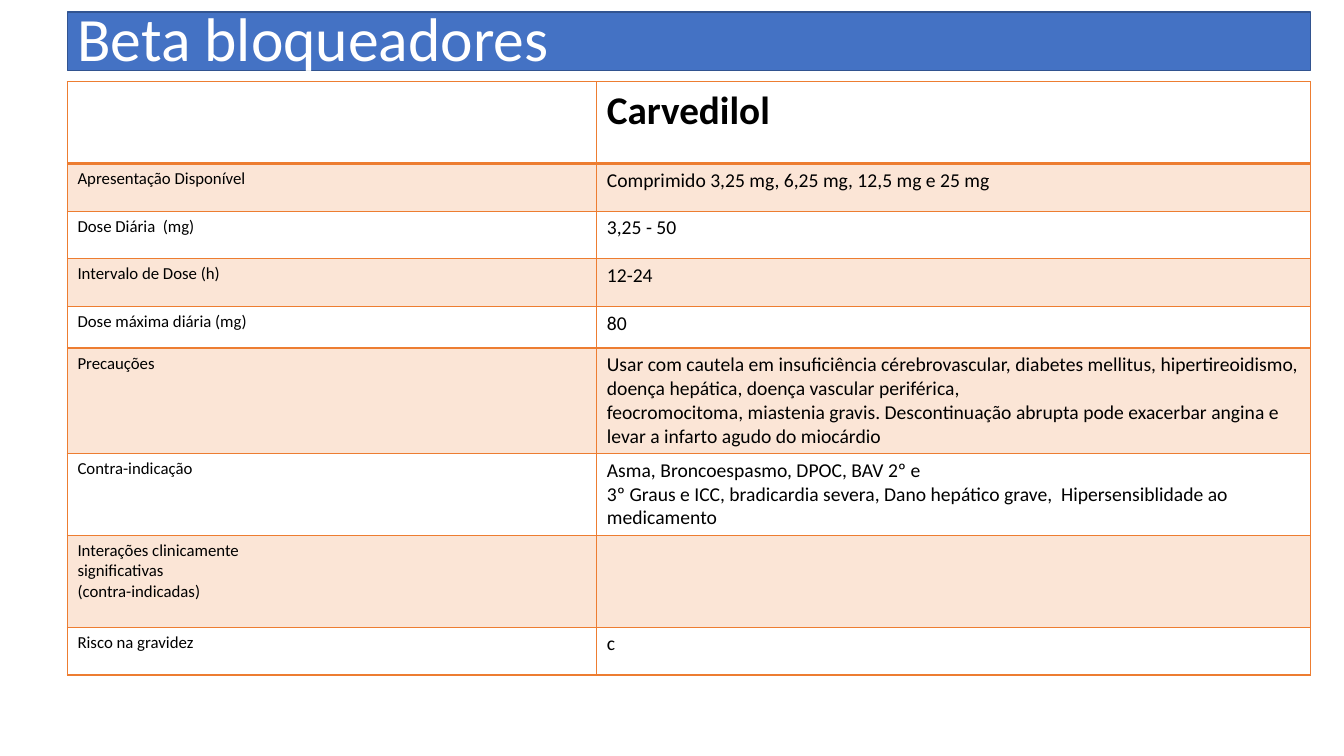
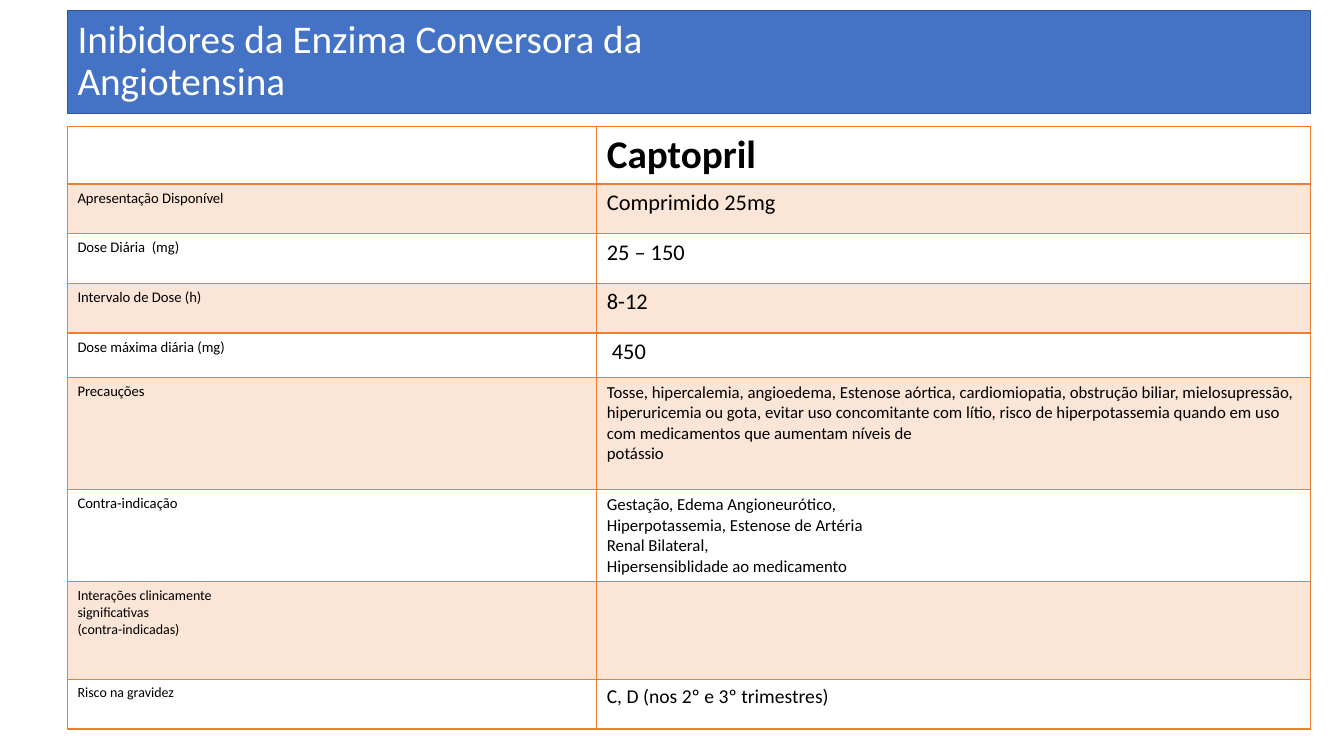
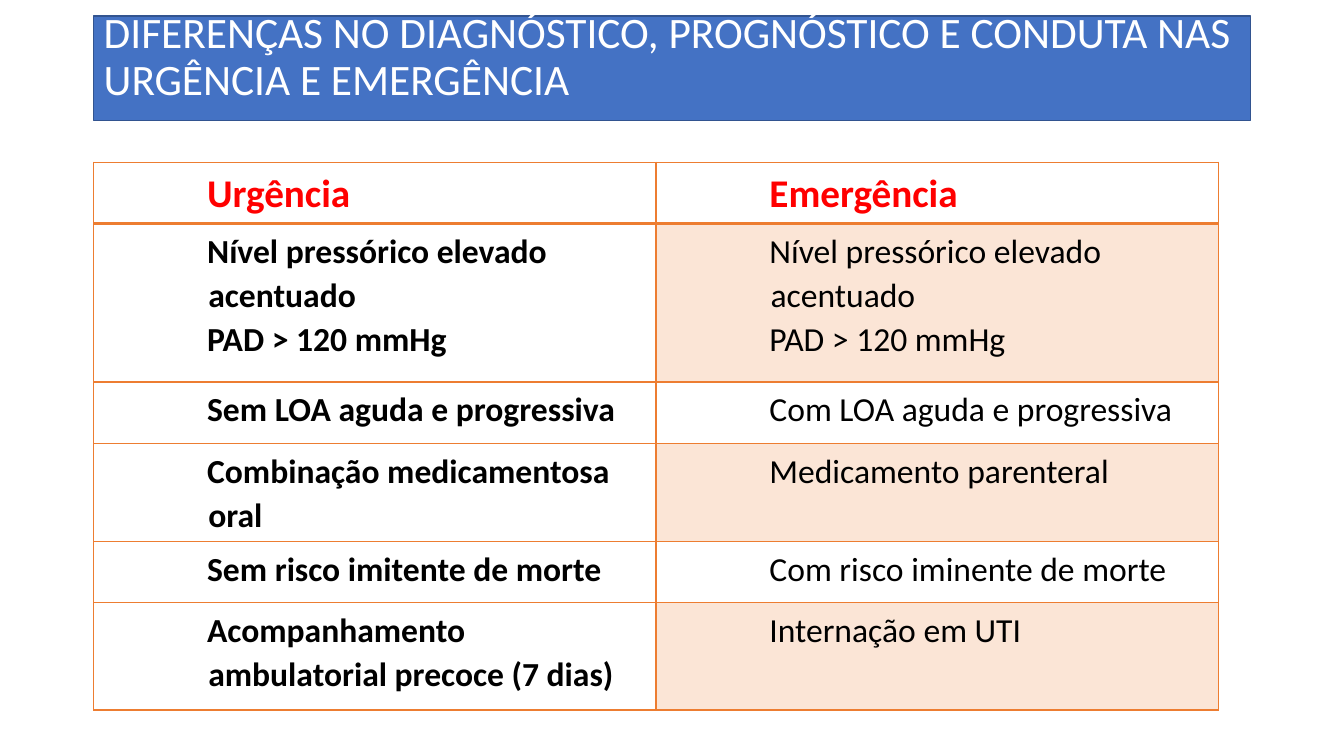
from dataclasses import dataclass

import pptx
import pptx.dml.color
import pptx.enum.text
import pptx.oxml
import pptx.oxml.ns
import pptx.presentation
import pptx.slide
import pptx.table
import pptx.text.text
import pptx.util
from pptx.util import Cm


# Shared look
@dataclass(frozen=True)
class Theme:
    font: str = "Calibri"
    band: str = "4472C4"
    band_line: str = "325490"
    white: str = "FFFFFF"
    black: str = "000000"
    red: str = "FF0000"
    border: str = "ED7D31"
    stripe: str = "FBE5D6"
    thin: float = 0.96
    thick: float = 1.98
    heading: float = 28
    comparison: float = 24


THEME = Theme()


@dataclass(frozen=True)
class TitleBand:
    text: str
    size: float
    left: float
    top: float
    width: float
    height: float
    inset_bottom: float = 0.13


@dataclass(frozen=True)
class CellText:
    text: str
    size: float
    bold: bool = False
    color: str = THEME.black


@dataclass(frozen=True)
class Row:
    height: float
    cells: tuple[CellText, CellText]


@dataclass(frozen=True)
class Grid:
    left: float
    top: float
    columns: tuple[float, float]
    rows: list[Row]
    striped_columns: tuple[int, ...] = (0, 1)
    indented: bool = False


@dataclass(frozen=True)
class Entry:
    height: float
    value: str
    value_size: float
    label_size: float


# Row labels shared by the medicine slides
LABELS = (
    "Apresentação Disponível",
    "Dose Diária  (mg)",
    "Intervalo de Dose (h)",
    "Dose máxima diária (mg)",
    "Precauções",
    "Contra-indicação",
    "Interações clinicamente\nsignificativas\n(contra-indicadas)",
    "Risco na gravidez",
)

CARVEDILOL = [
    Entry(1.2, "Comprimido 3,25 mg, 6,25 mg, 12,5 mg e 25 mg", 14, 12),
    Entry(1.2, "3,25 - 50", 14, 12),
    Entry(1.2, "12-24", 14, 12),
    Entry(1.05, "80", 14, 12),
    Entry(2.2, "Usar com cautela em insuficiência cérebrovascular, diabetes mellitus, "
          "hipertireoidismo,\ndoença hepática, doença vascular periférica,\n"
          "feocromocitoma, miastenia gravis. Descontinuação abrupta pode exacerbar "
          "angina e levar a infarto agudo do miocárdio", 14, 12),
    Entry(1.73, "Asma, Broncoespasmo, DPOC, BAV 2º e\n3º Graus e ICC, bradicardia severa, "
          "Dano hepático grave,  Hipersensiblidade ao\nmedicamento", 14, 12),
    Entry(2.32, "", 14, 12),
    Entry(1.2, "c", 14, 12),
]

CAPTOPRIL = [
    Entry(1.25, "Comprimido 25mg", 16, 10.5),
    Entry(1.25, "25 – 150", 16, 10.5),
    Entry(1.25, "8-12", 16, 10.5),
    Entry(1.12, " 450", 16, 10.5),
    Entry(2.83, "Tosse, hipercalemia, angioedema, Estenose aórtica, cardiomiopatia, "
          "obstrução biliar, mielosupressão, hiperuricemia ou gota, evitar uso "
          "concomitante com lítio, risco de hiperpotassemia quando em uso com "
          "medicamentos que aumentam níveis de\npotássio", 12, 10.5),
    Entry(1.96, "Gestação, Edema Angioneurótico,\nHiperpotassemia, Estenose de Artéria\n"
          "Renal Bilateral,\nHipersensiblidade ao medicamento", 12, 10.5),
    Entry(2.46, "", 12, 10),
    Entry(1.25, "C, D (nos 2º e 3º trimestres)", 14, 10),
]

COMPARISON = [
    (3.99, "Nível pressórico elevado acentuado\nPAD > 120 mmHg",
     "Nível pressórico elevado acentuado\nPAD > 120 mmHg"),
    (1.55, "Sem LOA aguda e progressiva", "Com LOA aguda e progressiva"),
    (1.8, "Combinação medicamentosa oral", "Medicamento parenteral"),
    (1.55, "Sem risco imitente de morte", "Com risco iminente de morte"),
    (2.7, "Acompanhamento ambulatorial precoce (7 dias)", "Internação em UTI"),
]


def rgb(value: str) -> pptx.dml.color.RGBColor:
    return pptx.dml.color.RGBColor.from_string(value)


def style_paragraph(para: pptx.text.text._Paragraph, size: float, color: str,
                    bold: bool = False) -> None:
    para.font.name = THEME.font
    para.font.size = pptx.util.Pt(size)
    para.font.bold = bold
    para.font.color.rgb = rgb(color)


# Title band
def draw_title(page: pptx.slide.Slide, band: TitleBand) -> None:
    title = page.shapes.title
    title.left, title.top = Cm(band.left), Cm(band.top)
    title.width, title.height = Cm(band.width), Cm(band.height)
    title.fill.solid()
    title.fill.fore_color.rgb = rgb(THEME.band)
    title.line.color.rgb = rgb(THEME.band_line)
    title.line.width = pptx.util.Pt(1)
    frame = title.text_frame
    frame.text = band.text
    frame.word_wrap = True
    frame.auto_size = pptx.enum.text.MSO_AUTO_SIZE.NONE
    frame.vertical_anchor = pptx.enum.text.MSO_ANCHOR.MIDDLE
    frame.margin_bottom = Cm(band.inset_bottom)
    para = frame.paragraphs[0]
    para.alignment = pptx.enum.text.PP_ALIGN.LEFT
    para.line_spacing = 0.9
    style_paragraph(para, band.size, THEME.white)


# Table
def set_borders(cell: pptx.table._Cell, top: float, bottom: float) -> None:
    properties = cell._tc.get_or_add_tcPr()
    sides = {"L": THEME.thin, "R": THEME.thin, "T": top, "B": bottom}
    for position, (side, width) in enumerate(sides.items()):
        line = pptx.oxml.parse_xml(
            f'<a:ln{side} {pptx.oxml.ns.nsdecls("a")} w="{pptx.util.Pt(width)}">'
            f'<a:solidFill><a:srgbClr val="{THEME.border}"/></a:solidFill></a:ln{side}>')
        properties.insert(position, line)


def fill_cell(cell: pptx.table._Cell, content: CellText, striped: bool,
              indented: bool) -> None:
    if striped:
        cell.fill.solid()
        cell.fill.fore_color.rgb = rgb(THEME.stripe)
    else:
        cell.fill.background()
    if indented:
        cell.margin_left, cell.margin_right = Cm(0.15), Cm(0.2)
    if not content.text:
        return
    cell.text_frame.text = content.text
    for para in cell.text_frame.paragraphs:
        if indented:
            properties = para._p.get_or_add_pPr()
            properties.set("marL", str(Cm(2.74)))
            properties.set("indent", str(Cm(-0.03)))
            para.line_spacing = 1.07
        style_paragraph(para, content.size, content.color, content.bold)


def draw_grid(page: pptx.slide.Slide, grid: Grid) -> None:
    table = page.shapes.add_table(
        len(grid.rows), len(grid.columns), Cm(grid.left), Cm(grid.top),
        Cm(sum(grid.columns)), Cm(sum(row.height for row in grid.rows))).table
    table.first_row = False
    table.horz_banding = False
    for column, width in zip(table.columns, grid.columns):
        column.width = Cm(width)
    for index, row in enumerate(grid.rows):
        table.rows[index].height = Cm(row.height)
        top = THEME.thick if index == 1 else THEME.thin
        bottom = THEME.thick if index == 0 else THEME.thin
        for column, content in enumerate(row.cells):
            cell = table.cell(index, column)
            striped = index % 2 == 1 and column in grid.striped_columns
            fill_cell(cell, content, striped, grid.indented)
            set_borders(cell, top, bottom)


# Table contents
def medicine_grid(name: str, top: float, header: float, entries: list[Entry]) -> Grid:
    heading = CellText(name, THEME.heading, bold=True)
    rows = [Row(header, (CellText("", THEME.heading), heading))]
    for label, entry in zip(LABELS, entries):
        rows.append(Row(entry.height, (CellText(label, entry.label_size),
                                       CellText(entry.value, entry.value_size))))
    return Grid(1.7, top, (13.34, 17.98), rows)


def comparison_grid() -> Grid:
    urgency, emergency = (CellText(text, THEME.heading, True, THEME.red)
                          for text in ("Urgência", "Emergência"))
    rows = [Row(1.42, (urgency, emergency))]
    for height, left, right in COMPARISON:
        rows.append(Row(height, (CellText(left, THEME.comparison, bold=True),
                                 CellText(right, THEME.comparison))))
    return Grid(2.36, 4.09, (14.17, 14.17), rows, striped_columns=(1,), indented=True)


def main() -> None:
    deck = pptx.Presentation()
    deck.slide_width, deck.slide_height = Cm(33.87), Cm(19.05)
    slides = [
        (TitleBand("Beta bloqueadores", 44, 1.7, 0.3, 31.32, 1.48),
         medicine_grid("Carvedilol", 2.06, 2.06, CARVEDILOL)),
        (TitleBand("Inibidores da Enzima Conversora da\vAngiotensina",
                   28, 1.7, 0.26, 31.32, 2.6),
         medicine_grid("Captopril", 3.18, 1.3, CAPTOPRIL)),
        (TitleBand("DIFERENÇAS NO DIAGNÓSTICO, PROGNÓSTICO E CONDUTA NAS "
                   "URGÊNCIA E EMERGÊNCIA", 31, 2.36, 0.4, 29.16, 2.63, 0.64),
         comparison_grid()),
    ]
    title_only = deck.slide_layouts[5]
    for band, grid in slides:
        page = deck.slides.add_slide(title_only)
        draw_title(page, band)
        draw_grid(page, grid)
    deck.save("out.pptx")


if __name__ == "__main__":
    main()
